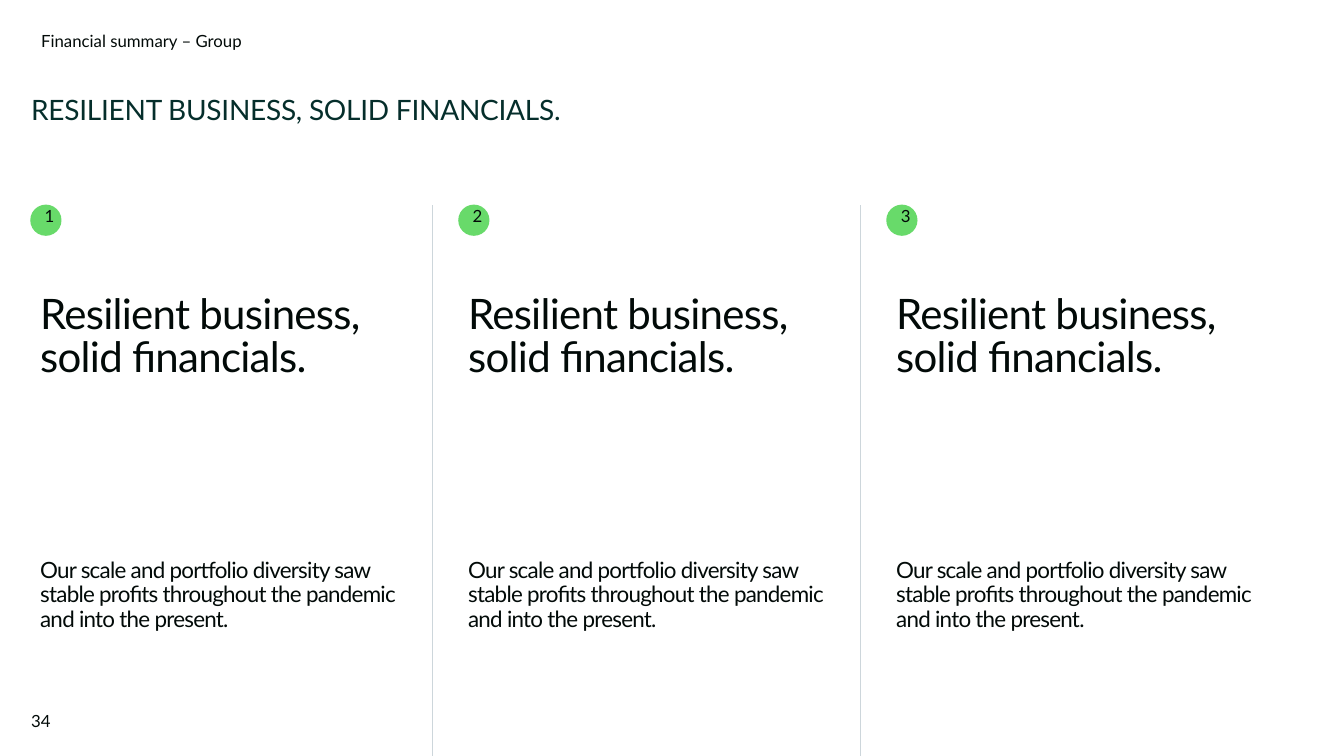
from pptx import Presentation
from pptx.dml.color import RGBColor
from pptx.enum.shapes import MSO_CONNECTOR, MSO_SHAPE
from pptx.enum.text import MSO_ANCHOR, PP_ALIGN
from pptx.oxml.ns import qn
from pptx.util import Inches, Pt
from lxml.etree import SubElement

SECTION = "Financial summary – Group"
TITLE = "RESILIENT BUSINESS, SOLID FINANCIALS."
PAGE_NUMBER = "34"
HEADING = "Resilient business, solid financials."
BODY = "Our scale and portfolio diversity saw stable profits throughout the pandemic and into the present."
COLUMNS = [("1", HEADING, BODY), ("2", HEADING, BODY), ("3", HEADING, BODY)]

INK, TITLE_GREEN, BADGE_GREEN, RULE_GREY = "020A08", "052E2B", "68DA6A", "CDD6DB"
WIDTH, HEIGHT = 13.33, 7.5
MARGIN, COLUMN_STEP, COLUMN_WIDTH = 0.3, 4.245, 3.73
COLUMN_TOP, BADGE_SIZE, RULE_GAP = 2.03, 0.31, 0.255
DEFAULT_INSETS, NO_INSETS = (0.1, 0.05, 0.1, 0.05), (0, 0, 0, 0)


def color(value):
    """Turn a hex string into a colour."""
    return RGBColor.from_string(value)


def write(shape, text, size, ink=INK, insets=DEFAULT_INSETS, anchor=MSO_ANCHOR.TOP,
          align=PP_ALIGN.LEFT, line_spacing=1.0, space_after=0, tracking=0):
    """Put one styled paragraph into a shape."""
    frame = shape.text_frame
    frame.word_wrap = True
    frame.vertical_anchor = anchor
    (frame.margin_left, frame.margin_top,
     frame.margin_right, frame.margin_bottom) = map(Inches, insets)
    paragraph = frame.paragraphs[0]
    paragraph.alignment = align
    paragraph.line_spacing = line_spacing
    paragraph.space_after = Pt(space_after)
    run = paragraph.add_run()
    run.text = text
    run.font.name = "Lato"
    run.font.size = Pt(size)
    run.font.color.rgb = color(ink)
    if tracking:
        run.font._element.set("spc", str(round(tracking * 100)))


def add_text(slide, box, text, size, **style):
    """Add a text box with one paragraph."""
    write(slide.shapes.add_textbox(*map(Inches, box)), text, size, **style)


def add_badge(slide, left, number):
    """Add a numbered green circle."""
    badge = slide.shapes.add_shape(
        MSO_SHAPE.OVAL, *map(Inches, (left, COLUMN_TOP, BADGE_SIZE, BADGE_SIZE)))
    badge.shadow.inherit = False
    badge.fill.solid()
    badge.fill.fore_color.rgb = color(BADGE_GREEN)
    badge.line.fill.background()
    write(badge, number, 12, insets=(0.1, 0, 0.1, 0.05), anchor=MSO_ANCHOR.MIDDLE,
          align=PP_ALIGN.CENTER, line_spacing=0.8)


def add_rule(slide, x):
    """Add a vertical divider down to the slide's bottom edge."""
    rule = slide.shapes.add_connector(
        MSO_CONNECTOR.STRAIGHT, *map(Inches, (x, HEIGHT, x, COLUMN_TOP)))
    rule.line.color.rgb = color(RULE_GREY)
    rule.line.width = Pt(1)
    SubElement(rule._element.spPr, qn("a:effectLst"))


def main():
    """Build and save the slide."""
    presentation = Presentation()
    presentation.slide_width, presentation.slide_height = Inches(WIDTH), Inches(HEIGHT)
    slide = presentation.slides.add_slide(presentation.slide_layouts[6])
    add_text(slide, (0.31, 0.28, 3.95, 0.18), SECTION, 12, line_spacing=0.9)
    add_text(slide, (0.31, 0.96, 6.3, 0.3), TITLE, 20, ink=TITLE_GREEN,
             insets=NO_INSETS, line_spacing=0.9, tracking=-0.2)
    for index, (number, heading, body) in enumerate(COLUMNS):
        left = MARGIN + index * COLUMN_STEP
        add_badge(slide, left, number)
        add_text(slide, (left, 2.88, COLUMN_WIDTH, 0.85), heading, 30,
                 line_spacing=0.85, space_after=12, tracking=-0.5)
        add_text(slide, (left, 5.5, COLUMN_WIDTH, 0.58), body, 16,
                 line_spacing=0.9, space_after=6, tracking=-0.5)
        if index:
            add_rule(slide, left - RULE_GAP)
    add_text(slide, (0.31, 6.95, 0.39, 0.4), PAGE_NUMBER, 12,
             insets=NO_INSETS, anchor=MSO_ANCHOR.MIDDLE)
    presentation.save("out.pptx")


if __name__ == "__main__":
    main()
